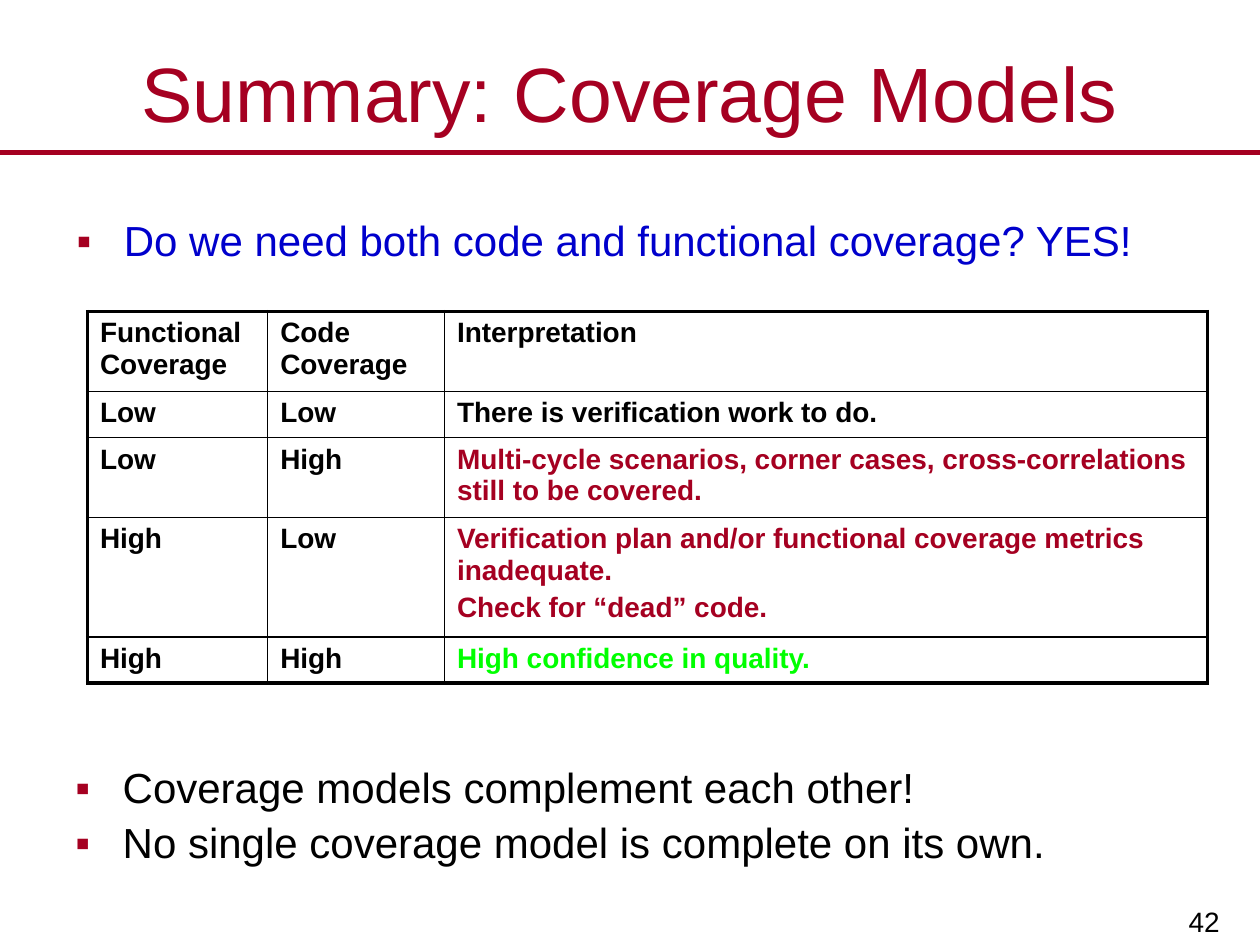
import pptx
import pptx.util
import pptx.dml.color
import pptx.enum.shapes
import pptx.enum.text
import pptx.oxml
import pptx.oxml.ns
import lxml.etree

Pt = pptx.util.Pt
RGB = pptx.dml.color.RGBColor
ALIGN = pptx.enum.text.PP_ALIGN
ANCHOR = pptx.enum.text.MSO_ANCHOR
qn = pptx.oxml.ns.qn

HUES = {"red": "A50021", "blue": "0000CC", "ink": "000000", "green": "00FF00"}
HEAD = {"size": Pt(44), "name": "Arial", "bold": False}
BODY = {"size": Pt(24), "name": "Arial"}
CELL = {"size": Pt(16), "name": "Arial", "bold": True}
FOOT = {"size": Pt(16), "name": "Arial"}

COLS = [103, 101, 436]
ROWS = [43.5, 26.5, 42.5, 63.5, 25]
GRID = [
    ("Functional Coverage", "Code Coverage", "Interpretation", "ink"),
    ("Low", "Low", "There is verification work to do.", "ink"),
    ("Low", "High", "Multi-cycle scenarios, corner cases, cross-correlations "
     "still to be covered.", "red"),
    ("High", "Low", "Verification plan and/or functional coverage metrics "
     "inadequate.\nCheck for “dead” code.", "red"),
    ("High", "High", "High confidence in quality.", "green"),
]


def style(para, form, hue):
    for key, value in form.items():
        setattr(para.font, key, value)
    para.font.color.rgb = RGB.from_string(HUES[hue])


def add(node, tag, **attrs):
    child = lxml.etree.SubElement(node, qn(tag))
    for key, value in attrs.items():
        child.set(key, str(value))
    return child


def place(shape, box):
    for key, value in zip(("left", "top", "width", "height"), box):
        setattr(shape, key, Pt(value))


def title(slide, box, text):
    shape = slide.shapes.title
    place(shape, box)
    frame = shape.text_frame
    frame.text = text
    frame.vertical_anchor = ANCHOR.MIDDLE
    frame.paragraphs[0].alignment = ALIGN.CENTER
    style(frame.paragraphs[0], HEAD, "red")


def rule(slide, left, top, width):
    line = slide.shapes.add_connector(
        pptx.enum.shapes.MSO_CONNECTOR.STRAIGHT,
        Pt(left), Pt(top), Pt(left + width), Pt(top))
    line.line.width = Pt(3)
    line.line.color.rgb = RGB.from_string(HUES["red"])
    add(line._element.spPr, "a:effectLst")


def points(slide, box, lines, hue):
    frame = slide.shapes.add_textbox(*map(Pt, box)).text_frame
    frame.word_wrap = True
    frame.text = "\n".join(lines)
    for i, para in enumerate(frame.paragraphs):
        para.line_spacing = 0.9
        if i:
            para.space_before = Pt(5.5)
        # Red square bullet with a hanging indent
        props = para._p.get_or_add_pPr()
        props.set("marL", str(Pt(27)))
        props.set("indent", str(-Pt(27)))
        add(add(props, "a:buClr"), "a:srgbClr", val=HUES["red"])
        add(props, "a:buFont", typeface="Arial")
        add(props, "a:buChar", char="▪")
        style(para, BODY, hue)


def border(cell, sides):
    props = cell._tc.get_or_add_tcPr()
    for at, (tag, outer) in enumerate(sides.items()):
        line = lxml.etree.Element(qn("a:" + tag))
        line.set("w", str(Pt(2.25 if outer else 1)))
        add(add(line, "a:solidFill"), "a:srgbClr", val=HUES["ink"])
        props.insert(at, line)


def matrix(slide, left, top):
    table = slide.shapes.add_table(
        len(ROWS), len(COLS), Pt(left), Pt(top),
        Pt(sum(COLS)), Pt(sum(ROWS))).table
    table.first_row = table.horz_banding = False
    for col, width in zip(table.columns, COLS):
        col.width = Pt(width)
    for row, high in zip(table.rows, ROWS):
        row.height = Pt(high)
    for r, (*texts, hue) in enumerate(GRID):
        for c, text in enumerate(texts):
            cell = table.cell(r, c)
            cell.text = text
            cell.fill.background()
            for i, para in enumerate(cell.text_frame.paragraphs):
                if i:
                    para.space_before = Pt(3.5)
                style(para, CELL, hue if c == 2 else "ink")
            # Heavy frame outside, thin lines inside
            border(cell, {"lnL": c == 0, "lnR": c == len(COLS) - 1,
                          "lnT": r == 0, "lnB": r == len(ROWS) - 1})


def number(slide, box, text):
    frame = slide.shapes.add_textbox(*map(Pt, box)).text_frame
    frame.word_wrap = True
    frame.vertical_anchor = ANCHOR.BOTTOM
    frame.margin_left = frame.margin_right = Pt(8)
    frame.margin_top = frame.margin_bottom = Pt(4)
    frame.text = text
    frame.paragraphs[0].alignment = ALIGN.RIGHT
    style(frame.paragraphs[0], FOOT, "ink")


def main():
    deck = pptx.Presentation()
    deck.slide_width, deck.slide_height = Pt(720), Pt(540)
    slide = deck.slides.add_slide(deck.slide_layouts[5])

    # Heading
    rule(slide, 0, 87, 720)
    title(slide, (0, 21.6, 720, 62), "Summary: Coverage Models")

    # Question, table and conclusions
    points(slide, (36.7, 122.4, 656, 39.6),
           ["Do we need both code and functional coverage? YES!"], "blue")
    matrix(slide, 50, 178)
    points(slide, (36, 435, 644, 65.5),
           ["Coverage models complement each other!",
            "No single coverage model is complete on its own."], "ink")

    # Page number
    number(slide, (561.6, 499, 143.3, 41), "42")
    deck.save("out.pptx")


if __name__ == "__main__":
    main()
